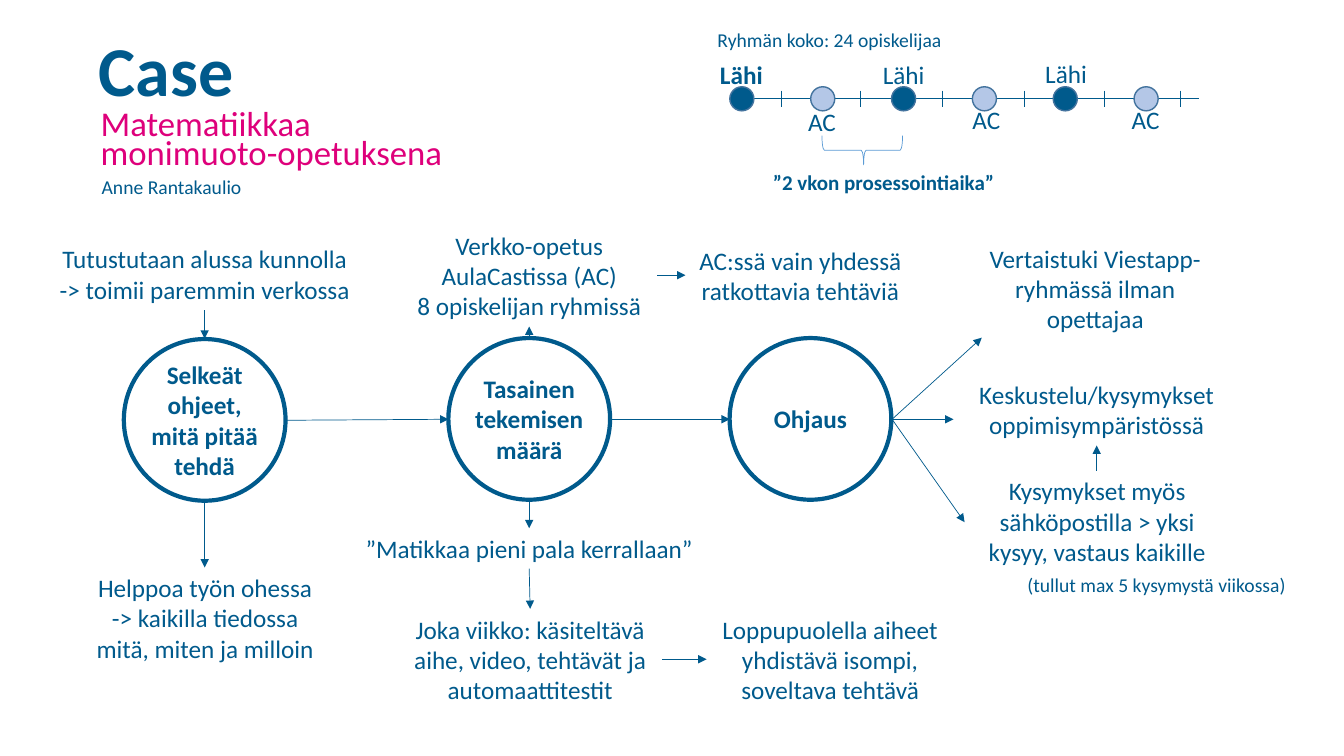
from dataclasses import dataclass
from itertools import pairwise

from lxml.etree import SubElement
from pptx import Presentation
from pptx.dml.color import RGBColor
from pptx.enum.shapes import MSO_CONNECTOR, MSO_SHAPE
from pptx.enum.text import MSO_ANCHOR, MSO_AUTO_SIZE, PP_ALIGN
from pptx.oxml.ns import qn
from pptx.util import Pt


@dataclass(frozen=True)
class Theme:
    font: str = "Calibri"
    ink: RGBColor = RGBColor.from_string("005A8C")
    accent: RGBColor = RGBColor.from_string("DE007B")
    paper: RGBColor = RGBColor.from_string("FFFFFF")
    pale: RGBColor = RGBColor.from_string("B4C7E7")
    rim: RGBColor = RGBColor.from_string("43739E")
    brace: RGBColor = RGBColor.from_string("5B9BD5")
    title: float = 50
    subtitle: float = 24.8
    body: float = 18
    quote: float = 15
    small: float = 14
    thin: float = 0.5
    medium: float = 1
    thick: float = 3


THEME = Theme()

TITLE = ("Case", (63.4, 22.3, 128.2, 62.6))
SUBTITLE = ("Matematiikkaa monimuoto-opetuksena", (64.8, 77, 261.4, 51))
AUTHOR = ("Anne Rantakaulio", (65.5, 121.7, 250.6, 24.5))
GROUP_SIZE = ("Ryhmän koko: 24 opiskelijaa", (505.4, 16.6, 190.8, 24.5))
PROCESSING_TIME = ("”2 vkon prosessointiaika”", (545, 117.4, 190.8, 25.2))
QUESTION_COUNT = ("(tullut max 5 kysymystä viikossa)", (722.9, 405.4, 206.6, 24.5))

STAGES = [
    ("Selkeät ohjeet, mitä pitää tehdä", 146.2, 299.9),
    ("Tasainen tekemisen määrä", 378, 299.2),
    ("Ohjaus", 578.9, 299.2),
]
STAGE_SIZE = 115.5

NOTES = [
    ("Tutustutaan alussa kunnolla -> toimii paremmin verkossa", (35.3, 170.6, 221.8, 51)),
    ("Helppoa työn ohessa\n-> kaikilla tiedossa mitä, miten ja milloin", (54.7, 405.4, 183.6, 72.7)),
    ("Verkko-opetus AulaCastissa (AC)\n8 opiskelijan ryhmissä", (286.6, 160.6, 182.9, 72.7)),
    ("AC:ssä vain yhdessä ratkottavia tehtäviä", (489.6, 171.4, 164.2, 51)),
    ("”Matikkaa pieni pala kerrallaan”", (252.7, 377.3, 250.6, 29)),
    ("Joka viikko: käsiteltävä aihe, video, tehtävät ja automaattitestit", (284.4, 434.9, 188.6, 72.7)),
    ("Loppupuolella aiheet yhdistävä isompi, soveltava tehtävä", (504.7, 434.9, 176.4, 72.7)),
    ("Vertaistuki Viestapp-ryhmässä ilman opettajaa", (697.7, 169.9, 169.2, 72.7)),
    ("Keskustelu/kysymykset oppimisympäristössä", (689, 267.1, 188.6, 51)),
    ("Kysymykset myös sähköpostilla > yksi kysyy, vastaus kaikille", (689, 336.2, 189.4, 72.7)),
]

ARROWS = [
    ((146.2, 221.8), (146.2, 241.9)),
    ((146.2, 358.6), (146.2, 405.4)),
    ((204.5, 300.2), (320.4, 299.5)),
    ((378, 241.2), (378, 233.3)),
    ((378, 357.8), (378, 377.3)),
    ((378, 406.1), (378.7, 434.9)),
    ((435.6, 299.5), (521.3, 299.5)),
    ((469.4, 196.6), (489.6, 196.6)),
    ((473, 470.9), (504.7, 470.9)),
    ((637.2, 299.5), (701.3, 241.2)),
    ((637.2, 299.5), (681.1, 299.5)),
    ((637.2, 299.5), (689, 373)),
    ((783.4, 336.2), (783.4, 318.2)),
]

MEETINGS = [
    ("Lähi", 504.7, 38.9),
    ("AC", 568.8, 72.7),
    ("Lähi", 620.6, 38.9),
    ("AC", 686.2, 71.3),
    ("Lähi", 736.6, 38.2),
    ("AC", 799.9, 71.3),
]
MEETING_LOOKS = {"Lähi": (49.7, THEME.ink), "AC": (36.7, THEME.pale)}
WEEK_TICKS = [558, 614.9, 673.2, 731.5, 789.1, 843.1]
AXIS_Y, AXIS_END = 70.56, 856.1
DOT_LEFT, DOT_STEP, DOT_SIZE = 521.3, 57.75, 17.2
TICK_HALF = 5.8
BRACE_BOX = (605.5, 78.5, 20.9, 57.6)


def write(frame, text, size, color=THEME.ink, bold=False, align=PP_ALIGN.CENTER):
    frame.word_wrap = True
    frame.text = text
    for paragraph in frame.paragraphs:
        paragraph.alignment = align
        paragraph.font.name = THEME.font
        paragraph.font.size = Pt(size)
        paragraph.font.bold = bold
        paragraph.font.color.rgb = color


def add_text(shapes, text, box, size, grow=True, **style):
    frame = shapes.add_textbox(*map(Pt, box)).text_frame
    write(frame, text, size, **style)
    frame.auto_size = MSO_AUTO_SIZE.SHAPE_TO_FIT_TEXT if grow else MSO_AUTO_SIZE.NONE
    return frame.paragraphs[0]


def add_line(shapes, start, end, arrow=False):
    line = shapes.add_connector(MSO_CONNECTOR.STRAIGHT, *map(Pt, (*start, *end)))
    line.line.color.rgb = THEME.ink
    line.line.width = Pt(THEME.thin)
    if arrow:
        outline = line.line._get_or_add_ln()
        SubElement(outline, qn("a:tailEnd"), type="triangle")
    SubElement(line._element.spPr, qn("a:effectLst"))


def add_outlined(shapes, kind, box, fill, color, width):
    shape = shapes.add_shape(kind, *map(Pt, box))
    shape.shadow.inherit = False
    if fill is None:
        shape.fill.background()
    else:
        shape.fill.solid()
        shape.fill.fore_color.rgb = fill
    shape.line.color.rgb = color
    shape.line.width = Pt(width)
    return shape


def add_heading(shapes):
    title = add_text(shapes, *TITLE, THEME.title, grow=False, bold=True, align=PP_ALIGN.LEFT)
    title.line_spacing = 0.9
    subtitle = add_text(shapes, *SUBTITLE, THEME.subtitle, grow=False,
                        color=THEME.accent, align=PP_ALIGN.LEFT)
    subtitle.line_spacing = 0.7
    subtitle.space_before = Pt(10)
    add_text(shapes, *AUTHOR, THEME.small, align=PP_ALIGN.LEFT)


def add_timeline(shapes):
    add_text(shapes, *GROUP_SIZE, THEME.small, align=PP_ALIGN.LEFT)
    timeline = shapes.add_group_shape().shapes
    dot_lefts = [DOT_LEFT + DOT_STEP * i for i in range(len(MEETINGS))]
    for left, right in pairwise([*dot_lefts, AXIS_END]):
        add_line(timeline, (left + DOT_SIZE, AXIS_Y), (right, AXIS_Y))
    for x in WEEK_TICKS:
        add_line(timeline, (x, AXIS_Y - TICK_HALF), (x, AXIS_Y + TICK_HALF))
    for i, (label, left, top) in enumerate(MEETINGS):
        width, fill = MEETING_LOOKS[label]
        dot = (dot_lefts[i], AXIS_Y - DOT_SIZE / 2, DOT_SIZE, DOT_SIZE)
        add_outlined(timeline, MSO_SHAPE.OVAL, dot, fill, THEME.rim, THEME.medium)
        add_text(timeline, label, (left, top, width, 29), THEME.body, bold=i == 0)
    brace = add_outlined(shapes, MSO_SHAPE.LEFT_BRACE, BRACE_BOX, None, THEME.brace, THEME.thin)
    brace.rotation = 270
    brace.adjustments[0] = 0.083
    brace.adjustments[1] = 0.517
    add_text(shapes, *PROCESSING_TIME, THEME.quote, bold=True, align=PP_ALIGN.LEFT)


def add_flow(shapes):
    for text, x, y in STAGES:
        box = (x - STAGE_SIZE / 2, y - STAGE_SIZE / 2, STAGE_SIZE, STAGE_SIZE)
        stage = add_outlined(shapes, MSO_SHAPE.OVAL, box, THEME.paper, THEME.ink, THEME.thick)
        frame = stage.text_frame
        frame.margin_left = frame.margin_right = frame.margin_top = frame.margin_bottom = 0
        frame.vertical_anchor = MSO_ANCHOR.MIDDLE
        write(frame, text, THEME.body, bold=True)
    for text, box in NOTES:
        add_text(shapes, text, box, THEME.body)
    add_text(shapes, *QUESTION_COUNT, THEME.small)
    for start, end in ARROWS:
        add_line(shapes, start, end, arrow=True)


def main():
    deck = Presentation()
    deck.slide_width, deck.slide_height = Pt(960), Pt(540)
    shapes = deck.slides.add_slide(deck.slide_layouts[6]).shapes
    add_heading(shapes)
    add_timeline(shapes)
    add_flow(shapes)
    deck.save("out.pptx")


if __name__ == "__main__":
    main()
